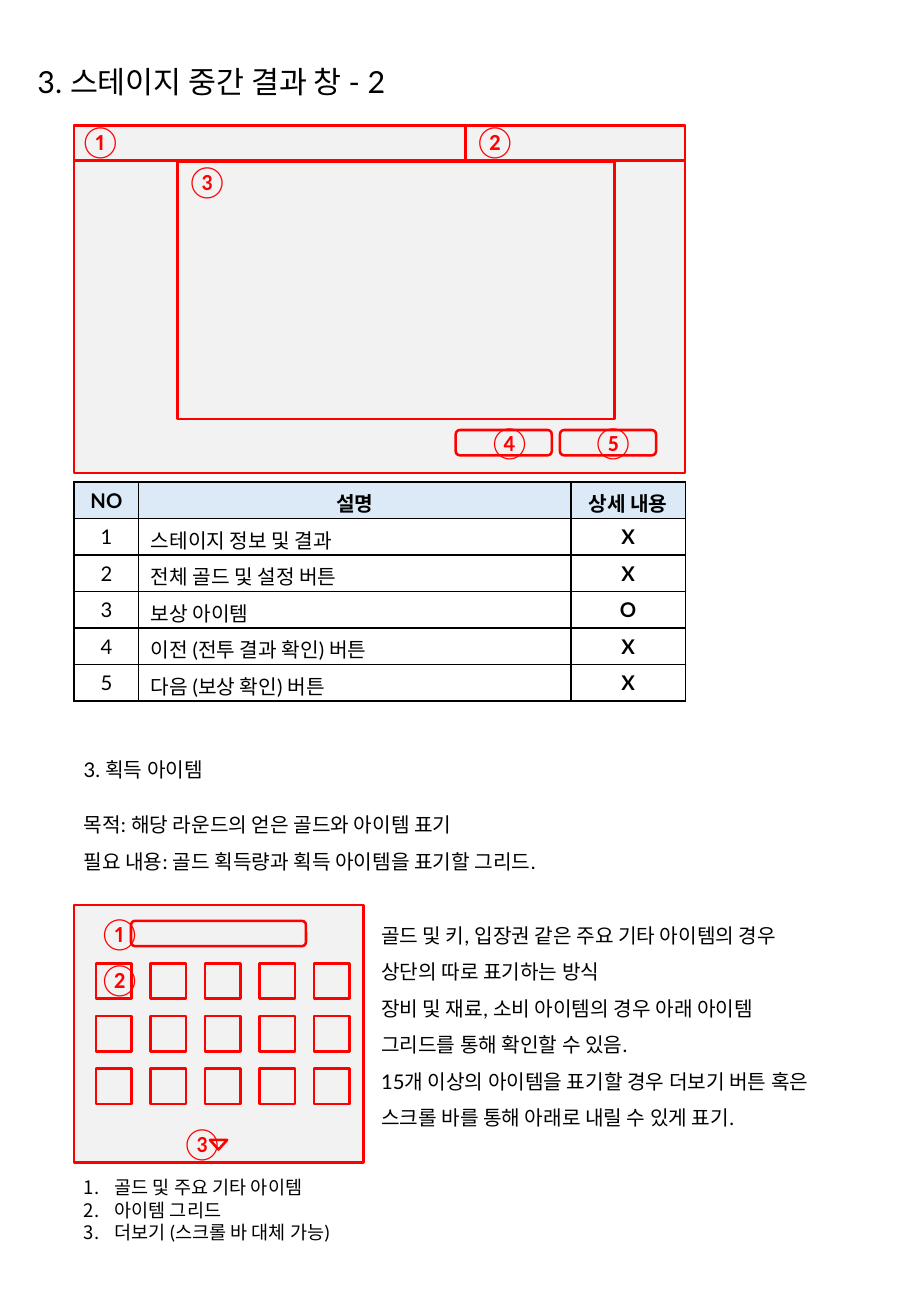
from lxml import etree
from pptx import Presentation
from pptx.dml.color import RGBColor
from pptx.enum.shapes import MSO_SHAPE
from pptx.enum.text import MSO_ANCHOR, MSO_AUTO_SIZE, PP_ALIGN
from pptx.oxml.ns import qn
from pptx.util import Cm, Pt

RECTANGLE = MSO_SHAPE.RECTANGLE
ROUNDED = MSO_SHAPE.ROUNDED_RECTANGLE
TRIANGLE = MSO_SHAPE.ISOSCELES_TRIANGLE
LEFT, CENTER = PP_ALIGN.LEFT, PP_ALIGN.CENTER
TOP = MSO_ANCHOR.TOP
GROW = MSO_AUTO_SIZE.SHAPE_TO_FIT_TEXT


def color(value):
    return RGBColor.from_string(value)


def write_text(frame, text, size=12, ink="000000", bold=False, align=LEFT,
               spacing=1.0, numbered=False):
    """Write one paragraph for each line of text."""
    for index, line in enumerate(text.split("\n")):
        para = frame.paragraphs[0] if index == 0 else frame.add_paragraph()
        if numbered:
            properties = para._p.get_or_add_pPr()
            properties.set("marL", str(Cm(0.64)))
            properties.set("indent", str(-Cm(0.64)))
            etree.SubElement(properties, qn("a:buAutoNum"), type="arabicPeriod")
        para.alignment = align
        para.line_spacing = spacing
        para.space_before = Pt(0)
        span = para.add_run()
        span.text = line
        span.font.name = Page.font
        span.font.size = Pt(size)
        span.font.bold = bold
        span.font.color.rgb = color(ink)


class Page:
    font = "Lato"
    red = "FF0000"
    gray = "F2F2F2"
    header = "DCEAF7"
    white = "FFFFFF"
    black = "000000"

    def __init__(self, deck):
        self.slide = deck.slides.add_slide(deck.slide_layouts[1])
        self.shapes = self.slide.shapes

    def fill_box(self, box, text, **style):
        frame = box.text_frame
        frame.word_wrap = True
        frame.vertical_anchor = TOP
        frame.auto_size = GROW
        write_text(frame, text, **style)

    def placeholder(self, index, left, top, width, height, text, **style):
        box = self.slide.placeholders[index]
        box.left, box.top, box.width, box.height = map(
            Cm, (left, top, width, height))
        self.fill_box(box, text, **style)

    def text(self, left, top, width, height, text, **style):
        box = self.shapes.add_textbox(Cm(left), Cm(top), Cm(width), Cm(height))
        self.fill_box(box, text, **style)

    def mark(self, left, top, symbol):
        self.text(left, top, 0.94, 1.02, symbol, size=18, ink=self.red,
                  align=CENTER)

    def outline(self, left, top, width, height, kind=RECTANGLE, filled=True):
        box = self.shapes.add_shape(kind, Cm(left), Cm(top), Cm(width), Cm(height))
        box.shadow.inherit = False
        if filled:
            box.fill.solid()
            box.fill.fore_color.rgb = color(self.gray)
        else:
            box.fill.background()
        box.line.color.rgb = color(self.red)
        box.line.width = Pt(1.5)
        return box

    def border(self, cell):
        properties = cell._tc.get_or_add_tcPr()
        for position, side in enumerate(("lnL", "lnR", "lnT", "lnB")):
            line = etree.Element(qn(f"a:{side}"), w=str(Pt(1)))
            fill = etree.SubElement(line, qn("a:solidFill"))
            etree.SubElement(fill, qn("a:srgbClr"), val=self.black)
            properties.insert(position, line)

    def table(self, left, top, widths, row_height, rows):
        table = self.shapes.add_table(
            len(rows), len(widths), Cm(left), Cm(top), Cm(sum(widths)),
            Cm(row_height * len(rows))).table
        for column, width in zip(table.columns, widths):
            column.width = Cm(width)
        for row_number, values in enumerate(rows):
            table.rows[row_number].height = Cm(row_height)
            is_header = row_number == 0
            for column_number, value in enumerate(values):
                cell = table.cell(row_number, column_number)
                cell.fill.solid()
                cell.fill.fore_color.rgb = color(
                    self.header if is_header else self.white)
                is_description = column_number == 1 and not is_header
                write_text(cell.text_frame, value,
                           bold=is_header or column_number == 2,
                           align=LEFT if is_description else CENTER)
                self.border(cell)


def main():
    deck = Presentation()
    deck.slide_width, deck.slide_height = Cm(19.05), Cm(27.51)
    page = Page(deck)
    page.placeholder(0, 0.53, 1.19, 13.94, 1.02, "3. 스테이지 중간 결과 창 - 2",
                     size=18)

    # Result window wireframe
    page.outline(1.55, 2.62, 12.78, 7.27)
    page.outline(3.71, 3.38, 9.14, 5.38)
    page.outline(1.55, 2.62, 8.18, 0.74)
    page.outline(9.73, 2.62, 4.6, 0.74)
    for button_left in (9.53, 11.71):
        page.outline(button_left, 8.99, 2.01, 0.53, ROUNDED)
    for left, top, symbol in ((1.5, 2.44, "①"), (9.75, 2.46, "②"),
                              (3.73, 3.28, "③"), (10.06, 8.74, "④"),
                              (12.22, 8.74, "⑤")):
        page.mark(left, top, symbol)

    # Description table
    page.table(1.55, 10.08, (1.35, 9.04, 2.39), 0.76, (
        ("NO", "설명", "상세 내용"),
        ("1", "스테이지 정보 및 결과", "X"),
        ("2", "전체 골드 및 설정 버튼", "X"),
        ("3", "보상 아이템", "O"),
        ("4", "이전 (전투 결과 확인) 버튼", "X"),
        ("5", "다음 (보상 확인) 버튼", "X"),
    ))

    # Section on acquired items
    page.text(1.5, 15.7, 5.31, 0.76, "3. 획득 아이템")
    page.text(1.5, 16.61, 16, 1.73,
              "목적: 해당 라운드의 얻은 골드와 아이템 표기\n"
              "필요 내용: 골드 획득량과 획득 아이템을 표기할 그리드.", spacing=1.5)

    # Item panel wireframe
    page.outline(1.55, 18.92, 6.05, 5.38)
    page.outline(2.74, 19.25, 3.66, 0.53, ROUNDED)
    for row in range(3):
        for column in range(5):
            page.outline(2.01 + 1.14 * column, 20.14 + 1.1 * row, 0.74, 0.74)
    more_arrow = page.outline(4.39, 23.83, 0.36, 0.2, TRIANGLE, filled=False)
    more_arrow.rotation = 180
    for left, top, symbol in ((1.9, 19, "①"), (1.9, 19.96, "②"),
                              (3.63, 23.39, "③")):
        page.mark(left, top, symbol)

    # Panel legend and explanation
    page.placeholder(1, 1.5, 24.46, 6.1, 1.68,
                     "골드 및 주요 기타 아이템\n아이템 그리드\n"
                     "더보기 (스크롤 바 대체 가능)", size=11, numbered=True)
    page.text(7.72, 18.92, 9.93, 4.8,
              "골드 및 키, 입장권 같은 주요 기타 아이템의 경우\n"
              "상단의 따로 표기하는 방식\n"
              "장비 및 재료, 소비 아이템의 경우 아래 아이템 "
              "그리드를 통해 확인할 수 있음.\n"
              "15개 이상의 아이템을 표기할 경우 더보기 버튼 혹은 "
              "스크롤 바를 통해 아래로 내릴 수 있게 표기.", spacing=1.5)

    deck.save("out.pptx")


if __name__ == "__main__":
    main()
